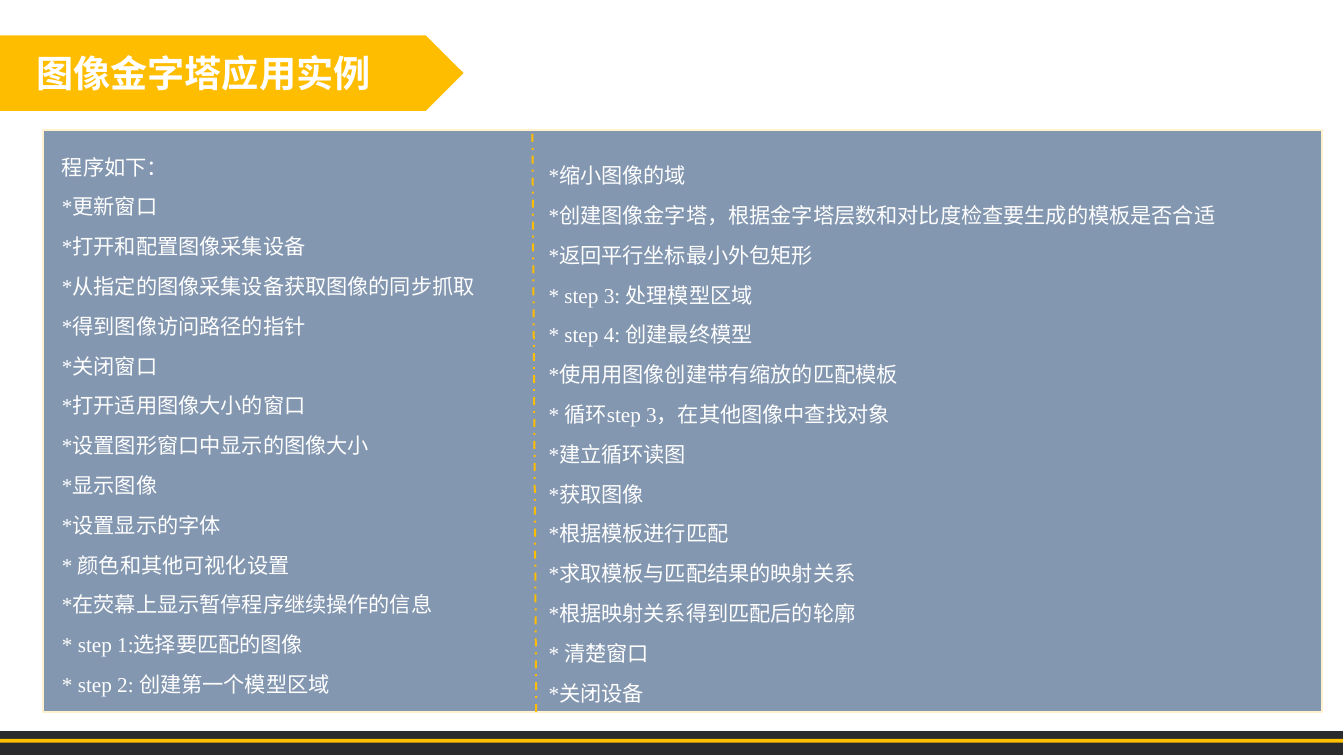
"""Builds the slide listing the steps of the image pyramid example program."""
from lxml import etree
from pptx import Presentation
from pptx.dml.color import RGBColor
from pptx.enum.dml import MSO_LINE
from pptx.enum.shapes import MSO_CONNECTOR, MSO_SHAPE
from pptx.enum.text import MSO_ANCHOR, PP_ALIGN
from pptx.oxml.ns import qn
from pptx.util import Inches, Pt

FONT = "Times New Roman"
AMBER, CHARCOAL, SLATE, WHITE = "FFBD00", "2A2B2D", "8497B0", "FFFFFF"


def color(value):
    return RGBColor.from_string(value)


def add_block(kind, box, fill, outline=None):
    block = slide.shapes.add_shape(kind, *[Inches(n) for n in box])
    block.shadow.inherit = False
    block.fill.solid()
    block.fill.fore_color.rgb = color(fill)
    if outline:
        block.line.color.rgb = color(outline)
        block.line.width = Pt(1)
    else:
        block.line.fill.background()
    return block


prs = Presentation()
prs.slide_width = Inches(14.06)
prs.slide_height = Inches(7.91)
slide = prs.slides.add_slide(prs.slide_layouts[5])

footer_stripes = [(7.65, 0.09, CHARCOAL), (7.73, 0.09, "FFC000"), (7.77, 0.13, CHARCOAL)]
for top, height, fill in footer_stripes:
    add_block(MSO_SHAPE.RECTANGLE, (-0.01, top, 14.06, height), fill)

add_block(MSO_SHAPE.RECTANGLE, (0.45, 1.36, 13.38, 6.09), SLATE, "FFF2CC")
first_half = add_block(MSO_SHAPE.RECTANGLE, (0.55, 1.41, 6.44, 5.99), SLATE, SLATE)
second_half = slide.shapes.add_textbox(Inches(5.64), Inches(1.5), Inches(8.2), Inches(6.41))

first_steps = [
    "程序如下：",
    "*更新窗口",
    "*打开和配置图像采集设备",
    "*从指定的图像采集设备获取图像的同步抓取",
    "*得到图像访问路径的指针",
    "*关闭窗口",
    "*打开适用图像大小的窗口",
    "*设置图形窗口中显示的图像大小",
    "*显示图像",
    "*设置显示的字体",
    "* 颜色和其他可视化设置",
    "*在荧幕上显示暂停程序继续操作的信息",
    "* step 1:选择要匹配的图像",
    "* step 2: 创建第一个模型区域",
]
second_steps = [
    "*缩小图像的域",
    "*创建图像金字塔，根据金字塔层数和对比度检查要生成的模板是否合适",
    "*返回平行坐标最小外包矩形",
    "* step 3: 处理模型区域",
    "* step 4: 创建最终模型",
    "*使用用图像创建带有缩放的匹配模板",
    "* 循环step 3，在其他图像中查找对象",
    "*建立循环读图",
    "*获取图像",
    "*根据模板进行匹配",
    "*求取模板与匹配结果的映射关系",
    "*根据映射关系得到匹配后的轮廓",
    "* 清楚窗口",
    "*关闭设备",
]
for half, steps in [(first_half, first_steps), (second_half, second_steps)]:
    frame = half.text_frame
    frame.word_wrap = True
    frame.vertical_anchor = MSO_ANCHOR.TOP
    frame.text = "\n".join(steps)
    for paragraph in frame.paragraphs:
        paragraph.alignment = PP_ALIGN.LEFT
        paragraph.line_spacing = Pt(30)
        paragraph.font.size = Pt(16)
        paragraph.font.name = FONT
        paragraph.font.color.rgb = color(WHITE)

divider = slide.shapes.add_connector(
    MSO_CONNECTOR.STRAIGHT, Inches(5.57), Inches(1.4), Inches(5.61), Inches(7.5))
divider.line.color.rgb = color(AMBER)
divider.line.width = Pt(1.5)
divider.line.dash_style = MSO_LINE.DASH_DOT
etree.SubElement(divider.element.spPr, qn("a:effectLst"))

title_banner = add_block(MSO_SHAPE.PENTAGON, (0, 0.37, 4.85, 0.79), AMBER)
title = slide.shapes.title
title.element.addprevious(title_banner.element)
title.left, title.top, title.width, title.height = [Inches(n) for n in (0.28, 0.37, 4.1, 0.79)]
title.text_frame.text = "图像金字塔应用实例"
title.text_frame.word_wrap = True
title.text_frame.vertical_anchor = MSO_ANCHOR.MIDDLE
heading = title.text_frame.paragraphs[0]
heading.alignment = PP_ALIGN.LEFT
heading.font.size = Pt(28)
heading.font.bold = True
heading.font.name = FONT
heading.font.color.rgb = color(WHITE)

prs.save("out.pptx")
